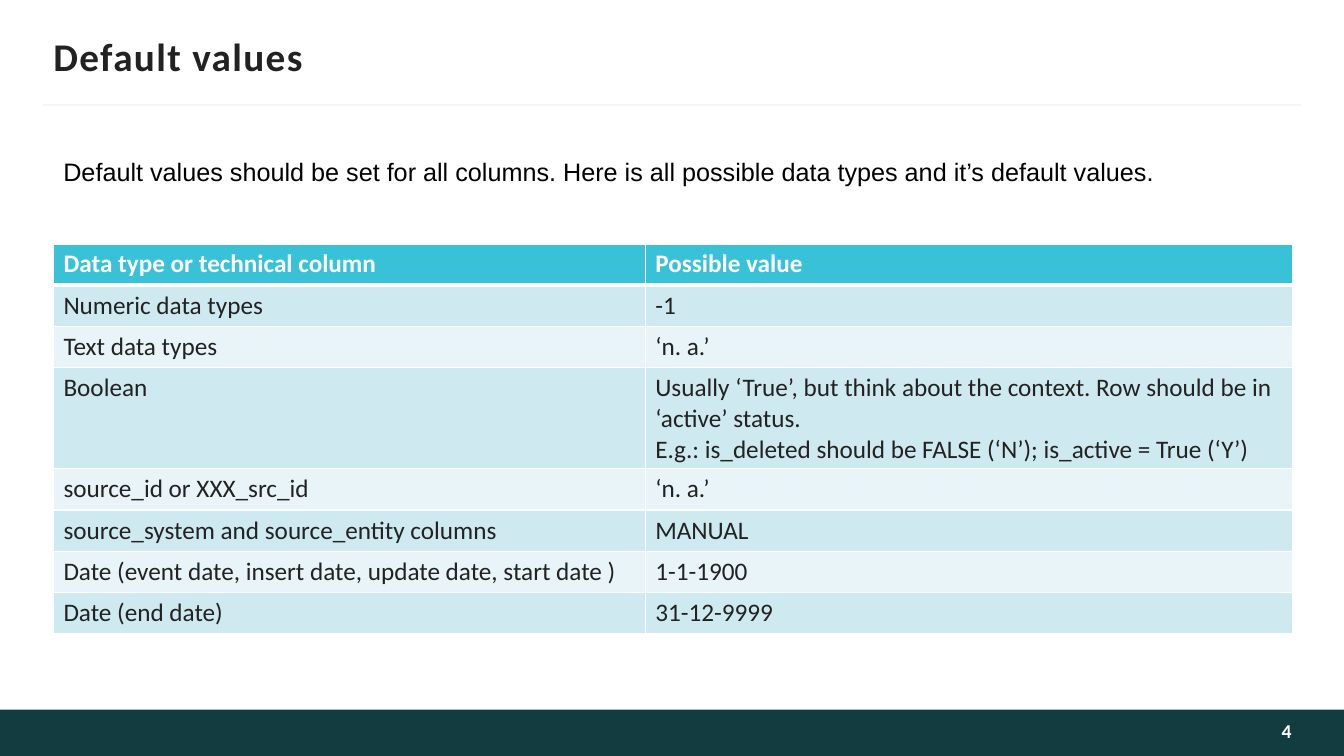
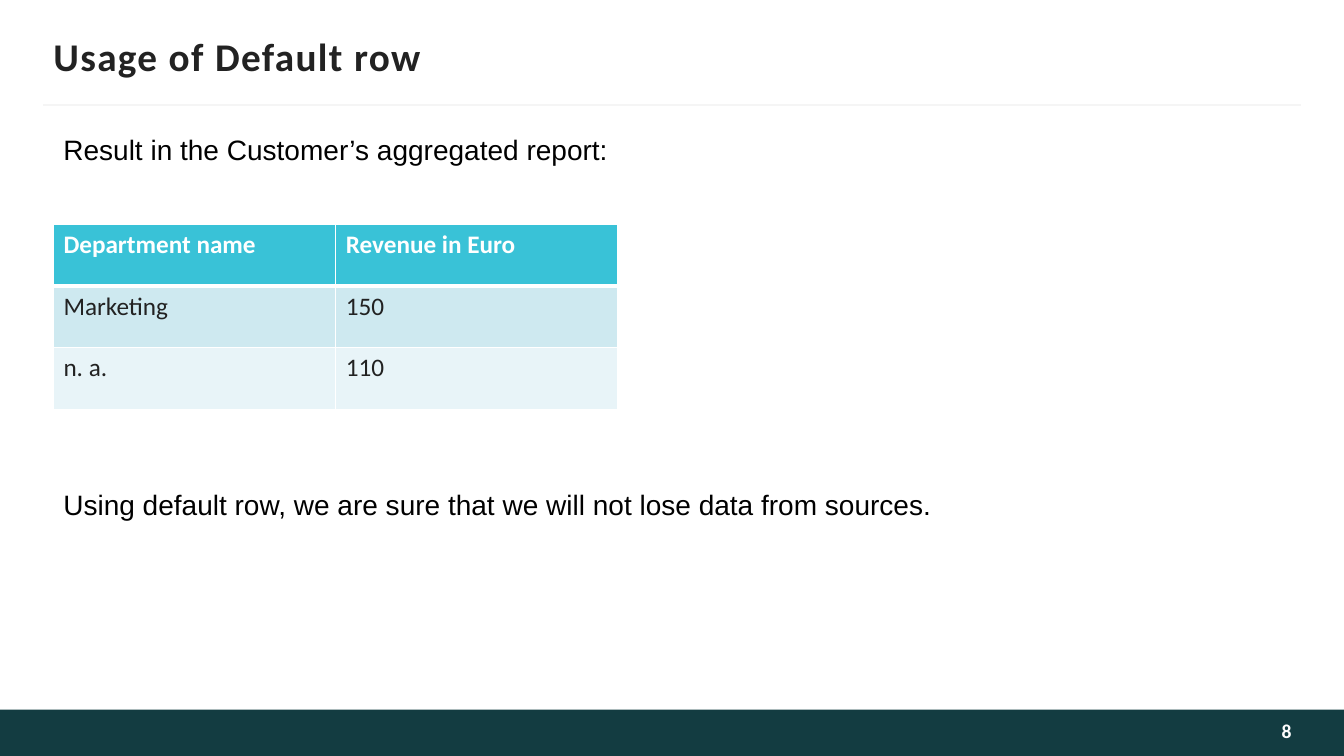
from dataclasses import dataclass
from typing import Any

from lxml import etree
from pptx import Presentation
from pptx.dml.color import RGBColor
from pptx.enum.shapes import MSO_CONNECTOR as Connector, MSO_SHAPE as Preset
from pptx.enum.text import MSO_ANCHOR as Anchor, MSO_AUTO_SIZE as AutoSize, PP_ALIGN as Align
from pptx.oxml.ns import qn
from pptx.util import Inches, Pt

SLIDE_W, SLIDE_H = 13.33, 7.5
LEFT, CONTENT_W = 0.53, 12.29
BAND_TOP, BAND_H = 7.04, 0.46
RULE_Y = 1.04

WHITE, INK, BLACK = "FFFFFF", "222222", "000000"
BAND, RULE = "133C41", "F5F5F5"
HEADER_FILL = "39C2D7"
ROW_FILLS = ("CEE9F0", "E8F4F8")

TITLE_FONT = {"name": "Calibri", "size": Pt(28), "bold": True}
NUMBER_FONT = {"name": "Calibri", "size": Pt(14), "bold": True}
HEADER_FONT = {"name": "Calibri", "size": Pt(18), "bold": True}
CELL_FONT = {"name": "Calibri", "size": Pt(18), "bold": False}

TITLE_FRAME = {
    "margin_left": 0, "margin_right": 0,
    "margin_top": Inches(0.05), "margin_bottom": Inches(0.05),
    "vertical_anchor": Anchor.MIDDLE, "auto_size": AutoSize.NONE, "word_wrap": False,
}
NUMBER_FRAME = TITLE_FRAME | {"margin_left": Inches(0.1), "margin_bottom": Inches(0.09)}
NOTE_FRAME = {"word_wrap": True, "auto_size": AutoSize.SHAPE_TO_FIT_TEXT}


@dataclass(frozen=True)
class Note:
    lines: tuple[str, ...]
    top: float
    height: float
    size: int
    gap: float = 0  # points between paragraphs


@dataclass(frozen=True)
class Grid:
    top: float
    columns: tuple[float, ...]
    row_heights: tuple[float, ...]
    rows: tuple[tuple[str, ...], ...]


@dataclass(frozen=True)
class Page:
    title: str
    number: int
    note: Note
    grid: Grid


PAGES = (
    Page(
        "Default values", 4,
        Note(("Default values should be set for all columns. "
              "Here is all possible data types and it’s default values.",), 1.35, 0.5, 18),
        Grid(2.42, (5.87, 6.42), (0.41,) * 3 + (0.97,) + (0.41,) * 4, (
            ("Data type or technical column", "Possible value"),
            ("Numeric data types", "-1"),
            ("Text data types", "‘n. a.’"),
            ("Boolean",
             "Usually ‘True’, but think about the context. Row should be in ‘active’ status.\n"
             "E.g.: is_deleted should be FALSE (‘N’); is_active = True (‘Y’)"),
            ("source_id or XXX_src_id", "‘n. a.’"),
            ("source_system and source_entity columns", "MANUAL"),
            ("Date (event date, insert date, update date, start date )", "1-1-1900"),
            ("Date (end date)", "31-12-9999"),
        )),
    ),
    Page(
        "Usage of Default row", 8,
        Note(("Result in the Customer’s aggregated report:",
              "Using default row, we are sure that we will not lose data from sources."),
             1.1, 4.08, 20, gap=217.5),
        Grid(2.23, (2.8, 2.8), (0.61,) * 3, (
            ("Department name", "Revenue in Euro"),
            ("Marketing", "150"),
            ("n. a.", "110"),
        )),
    ),
)


def rgb(color: str) -> RGBColor:
    return RGBColor.from_string(color)


def apply(target: Any, formats: dict[str, Any]) -> None:
    for attribute, value in formats.items():
        setattr(target, attribute, value)


def style_text(frame: Any, font: dict[str, Any], color: str, **paragraph_formats: Any) -> None:
    for paragraph in frame.paragraphs:
        apply(paragraph, paragraph_formats)
        for run in paragraph.runs:
            apply(run.font, font)
            run.font.color.rgb = rgb(color)


def place(shape: Any, left: float, top: float, width: float, height: float) -> None:
    apply(shape, {"left": Inches(left), "top": Inches(top),
                  "width": Inches(width), "height": Inches(height)})


def add_text(slide: Any, text: str, box: tuple[float, ...], formats: dict[str, Any]) -> Any:
    frame = slide.shapes.add_textbox(*map(Inches, box)).text_frame
    apply(frame, formats)
    frame.text = text
    return frame


def furnish_layout(layout: Any, slide: Any) -> None:
    """Put the band and rule on the layout, drawing them on a slide first."""
    band = slide.shapes.add_shape(
        Preset.RECTANGLE, 0, Inches(BAND_TOP), Inches(SLIDE_W), Inches(BAND_H))
    band.shadow.inherit = False
    band.fill.solid()
    band.fill.fore_color.rgb = rgb(BAND)
    band.line.fill.background()

    rule = slide.shapes.add_connector(
        Connector.STRAIGHT, Inches(0.43), Inches(RULE_Y), Inches(12.9), Inches(RULE_Y))
    rule.line.color.rgb = rgb(RULE)
    rule.line.width = Pt(1.5)
    etree.SubElement(rule.element.spPr, qn("a:effectLst"))

    for offset, part in enumerate((band, rule)):
        next(part.element.iter(qn("p:cNvPr"))).set("id", str(20 + offset))
        layout.shapes.element.insert(2 + offset, part.element)

    heading = layout.placeholders[0]
    place(heading, LEFT, 0.33, CONTENT_W, 0.44)
    apply(heading.text_frame, TITLE_FRAME)


def add_title(slide: Any, text: str) -> None:
    heading = slide.shapes.title
    heading.text_frame.text = text
    apply(heading.text_frame, TITLE_FRAME)
    style_text(heading.text_frame, TITLE_FONT, INK, alignment=Align.LEFT)
    next(heading.element.iter(qn("a:rPr"))).set("spc", "100")


def add_number(slide: Any, number: int) -> None:
    frame = add_text(slide, str(number), (10.81, BAND_TOP, 2, BAND_H), NUMBER_FRAME)
    style_text(frame, NUMBER_FONT, "FEFEFE", alignment=Align.RIGHT)


def add_note(slide: Any, note: Note) -> None:
    frame = add_text(slide, "\n".join(note.lines), (LEFT, note.top, 12.73, note.height), NOTE_FRAME)
    style_text(frame, {"name": "Arial", "size": Pt(note.size)}, BLACK, line_spacing=1.5)
    for paragraph in frame.paragraphs[1:]:
        paragraph.space_before = Pt(note.gap)


def set_borders(cell: Any, widths: dict[str, float]) -> None:
    """Insert white borders ahead of the fill, as the schema orders them."""
    properties = cell._tc.get_or_add_tcPr()
    for position, (side, width) in enumerate(widths.items()):
        border = etree.Element(qn(f"a:ln{side}"), w=str(Pt(width)))
        fill = etree.SubElement(border, qn("a:solidFill"))
        etree.SubElement(fill, qn("a:srgbClr"), val=WHITE)
        properties.insert(position, border)


def add_grid(slide: Any, grid: Grid) -> None:
    table = slide.shapes.add_table(
        len(grid.rows), len(grid.columns), Inches(LEFT), Inches(grid.top),
        Inches(sum(grid.columns)), Inches(sum(grid.row_heights))).table
    for column, width in zip(table.columns, grid.columns):
        column.width = Inches(width)
    for r, (texts, height) in enumerate(zip(grid.rows, grid.row_heights)):
        table.rows[r].height = Inches(height)
        is_header = r == 0
        for c, text in enumerate(texts):
            cell = table.cell(r, c)
            cell.text = text
            style_text(cell.text_frame, HEADER_FONT if is_header else CELL_FONT,
                       WHITE if is_header else INK)
            cell.fill.solid()
            cell.fill.fore_color.rgb = rgb(HEADER_FILL if is_header else ROW_FILLS[(r - 1) % 2])
            set_borders(cell, {"L": 1, "R": 1, "T": 3 if r == 1 else 1, "B": 3 if is_header else 1})


def main() -> None:
    deck = Presentation()
    apply(deck, {"slide_width": Inches(SLIDE_W), "slide_height": Inches(SLIDE_H)})
    layout = deck.slide_layouts.get_by_name("Title Only")
    slides = [deck.slides.add_slide(layout) for _ in PAGES]
    furnish_layout(layout, slides[0])
    for slide, page in zip(slides, PAGES):
        add_title(slide, page.title)
        add_number(slide, page.number)
        add_note(slide, page.note)
        add_grid(slide, page.grid)
    deck.save("out.pptx")


if __name__ == "__main__":
    main()
